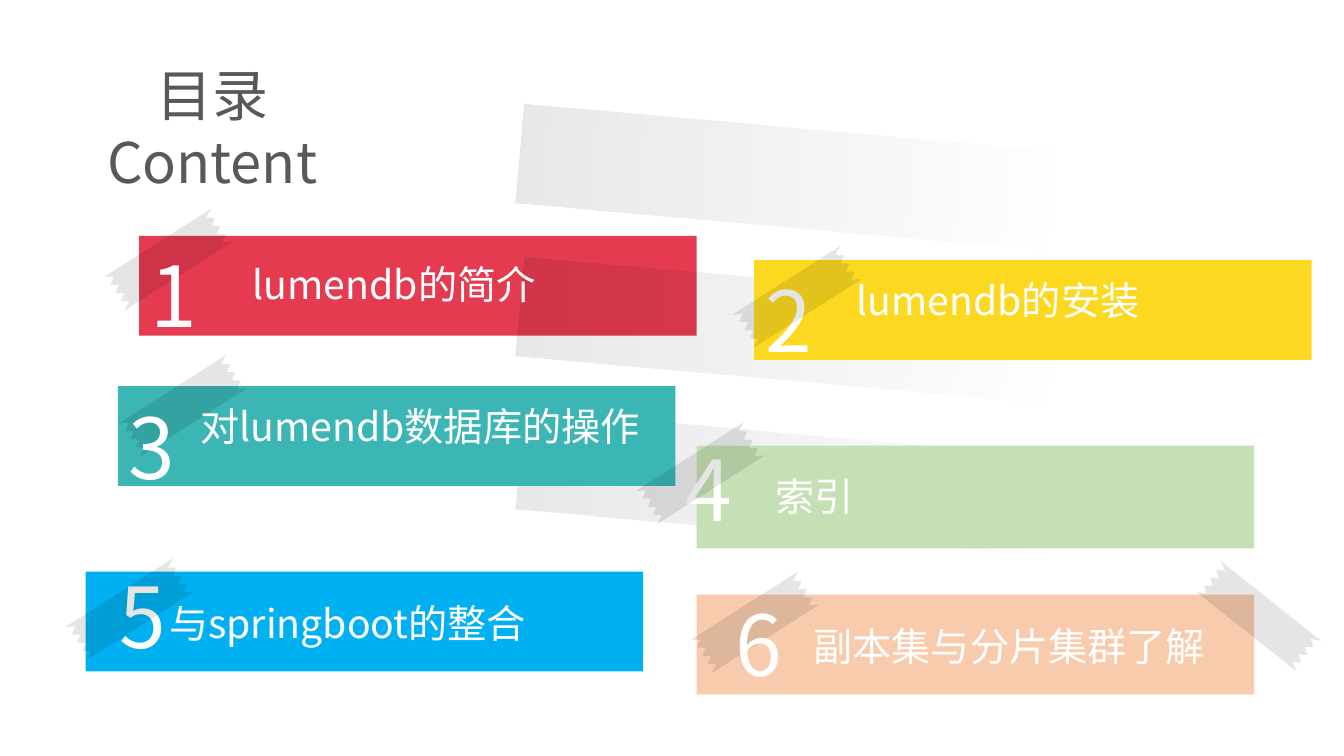
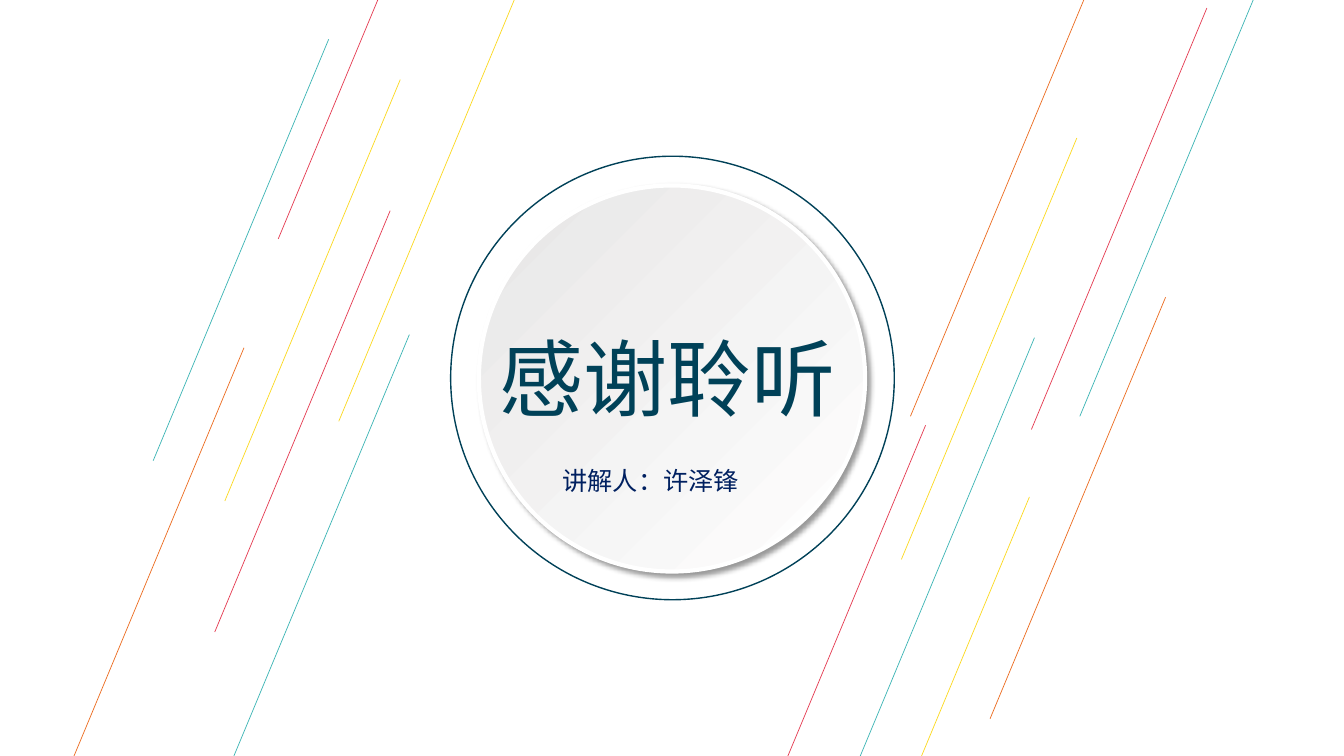
from dataclasses import dataclass
from typing import Any

from lxml import etree
from pptx import Presentation
from pptx.dml.color import RGBColor
from pptx.enum.shapes import MSO_CONNECTOR, MSO_SHAPE
from pptx.enum.text import MSO_ANCHOR, MSO_AUTO_SIZE, PP_ALIGN
from pptx.oxml.ns import qn
from pptx.util import Inches, Pt

RECTANGLE = MSO_SHAPE.RECTANGLE
OVAL = MSO_SHAPE.OVAL
STRAIGHT = MSO_CONNECTOR.STRAIGHT
TOP = MSO_ANCHOR.TOP
GROW = MSO_AUTO_SIZE.SHAPE_TO_FIT_TEXT
LEFT = PP_ALIGN.LEFT
CENTER = PP_ALIGN.CENTER
TITLE_ONLY = 5

Box = tuple[float, float, float, float]
Point = tuple[float, float]


@dataclass(frozen=True)
class Theme:
    red: str = "E53B51"
    yellow: str = "FCD920"
    teal: str = "3CB5B5"
    orange: str = "EC6C20"
    green: str = "C5E0B4"
    blue: str = "00B0F0"
    peach: str = "F8CBAD"
    navy: str = "004158"
    speaker: str = "002060"
    heading: str = "595959"
    silver: str = "E7E6E6"
    white: str = "FFFFFF"
    black: str = "000000"
    display_font: str = "Noto Sans CJK JP"
    body_font: str = "Noto Sans CJK SC"
    huge: int = 60
    large: int = 40
    medium: int = 28
    small: int = 18


THEME = Theme()


@dataclass(frozen=True)
class TextStyle:
    size: int
    font: str
    color: str
    alignment: Any = LEFT


NUMBER = TextStyle(THEME.huge, THEME.display_font, THEME.white)
LABEL = TextStyle(THEME.medium, THEME.body_font, THEME.white)
HEADING = TextStyle(THEME.large, THEME.display_font, THEME.heading, CENTER)
CLOSING = TextStyle(THEME.huge, THEME.display_font, THEME.navy)
SPEAKER = TextStyle(THEME.small, THEME.body_font, THEME.speaker)


@dataclass(frozen=True)
class Chapter:
    label: str
    color: str
    bar: Point
    number: Point
    text: Point
    text_width: float
    tape: Point
    tape_on_top: bool = False
    bar_height: float = 0.99


CHAPTERS = (
    Chapter("lumendb的简介", THEME.red, (1.38, 2.34), (1.39, 2.37), (2.41, 2.53), 3.47, (1.03, 2.38)),
    Chapter("lumendb的安装", THEME.yellow, (7.48, 2.58), (7.49, 2.61), (8.4, 2.69), 3.47, (7.27, 2.75), True),
    Chapter("对lumendb数据库的操作", THEME.teal, (1.17, 3.83), (1.18, 3.87), (1.89, 3.94), 5.12, (1.18, 3.83)),
    Chapter("索引", THEME.green, (6.91, 4.42), (6.7, 4.29), (7.59, 4.64), 3.47, (6.31, 4.5), True, 1.02),
    Chapter("与springboot的整合", THEME.blue, (0.85, 5.67), (1.09, 5.55), (1.58, 5.9), 5.12, (0.65, 5.85), True),
    Chapter("副本集与分片集群了解", THEME.peach, (6.91, 5.9), (7.2, 5.83), (7.97, 6.12), 4.12, (6.85, 5.98)),
)

BAR_WIDTH = 5.53
BAND_LEFT, BAND_TOP, BAND_STEP, BAND_COUNT = 5.15, 1.27, 1.52, 3
BAND_HEIGHT, BAND_TILT = 0.99, 5.1
TAPE_WIDTH, TAPE_HEIGHT, TAPE_TILT = 1.27, 0.39, 327.5
TAPE_EDGE = (1.27, 1.18, 1.25, 1.18, 1.25, 1.18, 1.25, 1.18, 1.27)
TAPE_OPACITY = 10
STREAK_RUN, STREAK_DROP = -1.74, 4.18

STREAKS: dict[str, tuple[Point, ...]] = {
    THEME.orange: ((10.77, -0.05), (2.42, 3.45), (11.56, 2.95)),
    THEME.yellow: ((5.1, 0), (10.68, 1.37), (3.97, 0.79), (10.21, 4.93)),
    THEME.teal: ((4.06, 3.32), (10.26, 3.35), (3.26, 0.39), (12.45, -0.05)),
    THEME.red: ((3.87, 2.09), (11.97, 0.08), (4.5, -1.81), (9.18, 4.22)),
}


def apply(target: Any, values: dict[str, Any]) -> None:
    for name, value in values.items():
        setattr(target, name, value)


def rgb(color: str) -> RGBColor:
    return RGBColor.from_string(color)


def place(shape: Any, box: Box) -> None:
    apply(shape, dict(zip(("left", "top", "width", "height"), map(Inches, box))))


def set_opacity(color_element: Any, percent: int) -> None:
    etree.SubElement(color_element, qn("a:alpha")).set("val", str(percent * 1000))


def write(shape: Any, text: str, style: TextStyle) -> None:
    frame = shape.text_frame
    frame.text = text
    apply(frame, {"word_wrap": True, "auto_size": GROW, "vertical_anchor": TOP})
    for paragraph in frame.paragraphs:
        paragraph.alignment = style.alignment
        for run in paragraph.runs:
            apply(run.font, {"size": Pt(style.size), "name": style.font})
            run.font.color.rgb = rgb(style.color)
            east_asian = etree.SubElement(run.font._element, qn("a:ea"))
            east_asian.set("typeface", style.font)


def add_text(slide: Any, box: Box, text: str, style: TextStyle) -> None:
    shape = slide.shapes.add_textbox(*map(Inches, box))
    write(shape, text, style)


def add_title(slide: Any, box: Box, text: str, style: TextStyle) -> None:
    title = slide.shapes.title
    place(title, box)
    write(title, text, style)
    title.element.getparent().append(title.element)


def add_plain_shape(slide: Any, kind: Any, box: Box) -> Any:
    shape = slide.shapes.add_shape(kind, *map(Inches, box))
    shape.shadow.inherit = False
    shape.fill.background()
    shape.line.fill.background()
    return shape


def fill_solid(shape: Any, color: str) -> None:
    shape.fill.solid()
    shape.fill.fore_color.rgb = rgb(color)


def fill_gradient(shape: Any, colors: tuple[str, str], angle: float) -> None:
    shape.fill.gradient()
    shape.fill.gradient_angle = angle
    for stop, color in zip(shape.fill.gradient_stops, colors):
        stop.color.rgb = rgb(color)


def outline(shape: Any, color: str, width: float) -> None:
    shape.line.color.rgb = rgb(color)
    shape.line.width = Pt(width)


def add_band(slide: Any, index: int) -> None:
    box = (BAND_LEFT, BAND_TOP + index * BAND_STEP, BAR_WIDTH, BAND_HEIGHT)
    band = add_plain_shape(slide, RECTANGLE, box)
    band.rotation = BAND_TILT
    fill_gradient(band, (THEME.black, THEME.black), 0)
    for color_element, percent in zip(band.element.spPr.iter(qn("a:srgbClr")), (10, 0)):
        set_opacity(color_element, percent)


def add_tape(slide: Any, corner: Point, tilt: float = TAPE_TILT) -> None:
    step = TAPE_HEIGHT / (len(TAPE_EDGE) - 1)
    right = [(x, index * step) for index, x in enumerate(TAPE_EDGE)]
    left = [(TAPE_WIDTH - x, TAPE_HEIGHT - y) for x, y in right]
    points = [(Inches(x), Inches(y)) for x, y in right + left]
    builder = slide.shapes.build_freeform(*points[0])
    builder.add_line_segments(points[1:], close=True)
    tape = builder.convert_to_shape(*map(Inches, corner))
    tape.shadow.inherit = False
    fill_solid(tape, THEME.black)
    set_opacity(next(tape.element.spPr.iter(qn("a:srgbClr"))), TAPE_OPACITY)
    tape.line.fill.background()
    tape.rotation = tilt


def add_chapter_text(slide: Any, number: int, chapter: Chapter) -> None:
    if not chapter.tape_on_top:
        add_tape(slide, chapter.tape)
    add_text(slide, (*chapter.number, 0.49, 1.11), str(number), NUMBER)
    add_text(slide, (*chapter.text, chapter.text_width, 0.57), chapter.label, LABEL)
    if chapter.tape_on_top:
        add_tape(slide, chapter.tape)


def add_streak(slide: Any, start: Point, color: str) -> None:
    x, y = start
    ends = (x, y, x + STREAK_RUN, y + STREAK_DROP)
    streak = slide.shapes.add_connector(STRAIGHT, *map(Inches, ends))
    outline(streak, color, 0.5)
    etree.SubElement(streak.element.spPr, qn("a:effectLst"))


def add_drop_shadow(shape: Any) -> None:
    effects = shape.element.spPr.find(qn("a:effectLst"))
    shadow = etree.SubElement(effects, qn("a:outerShdw"))
    values = {"blurRad": Pt(4), "dist": Pt(3), "dir": 45 * 60000, "algn": "tl", "rotWithShape": 0}
    for name, value in values.items():
        shadow.set(name, str(value))
    color_element = etree.SubElement(shadow, qn("a:srgbClr"))
    color_element.set("val", THEME.black)
    set_opacity(color_element, 40)


def build_contents(slide: Any) -> None:
    for index, chapter in enumerate(CHAPTERS):
        if index < BAND_COUNT:
            add_band(slide, index)
        bar = add_plain_shape(slide, RECTANGLE, (*chapter.bar, BAR_WIDTH, chapter.bar_height))
        fill_solid(bar, chapter.color)
    for number, chapter in enumerate(CHAPTERS, start=1):
        add_chapter_text(slide, number, chapter)
    add_tape(slide, (11.85, 5.92), 38.5)
    add_title(slide, (0.66, 0.55, 2.89, 1.45), "目录\nContent", HEADING)


def build_closing(slide: Any) -> None:
    for color, starts in STREAKS.items():
        for start in starts:
            add_streak(slide, start, color)
    ring = add_plain_shape(slide, OVAL, (4.47, 1.55, 4.4, 4.4))
    outline(ring, THEME.navy, 1)
    disc = add_plain_shape(slide, OVAL, (4.75, 1.84, 3.83, 3.83))
    fill_gradient(disc, (THEME.white, THEME.silver), 135)
    outline(disc, THEME.white, 3)
    add_drop_shadow(disc)
    add_title(slide, (4.85, 3.19, 3.63, 1.11), "感谢聆听", CLOSING)
    add_text(slide, (5.48, 4.57, 2.03, 0.4), "讲解人：许泽锋", SPEAKER)


def main() -> None:
    presentation = Presentation()
    apply(presentation, {"slide_width": Inches(13.33), "slide_height": Inches(7.5)})
    layout = presentation.slide_layouts[TITLE_ONLY]
    for build in (build_contents, build_closing):
        build(presentation.slides.add_slide(layout))
    presentation.save("out.pptx")


if __name__ == "__main__":
    main()
